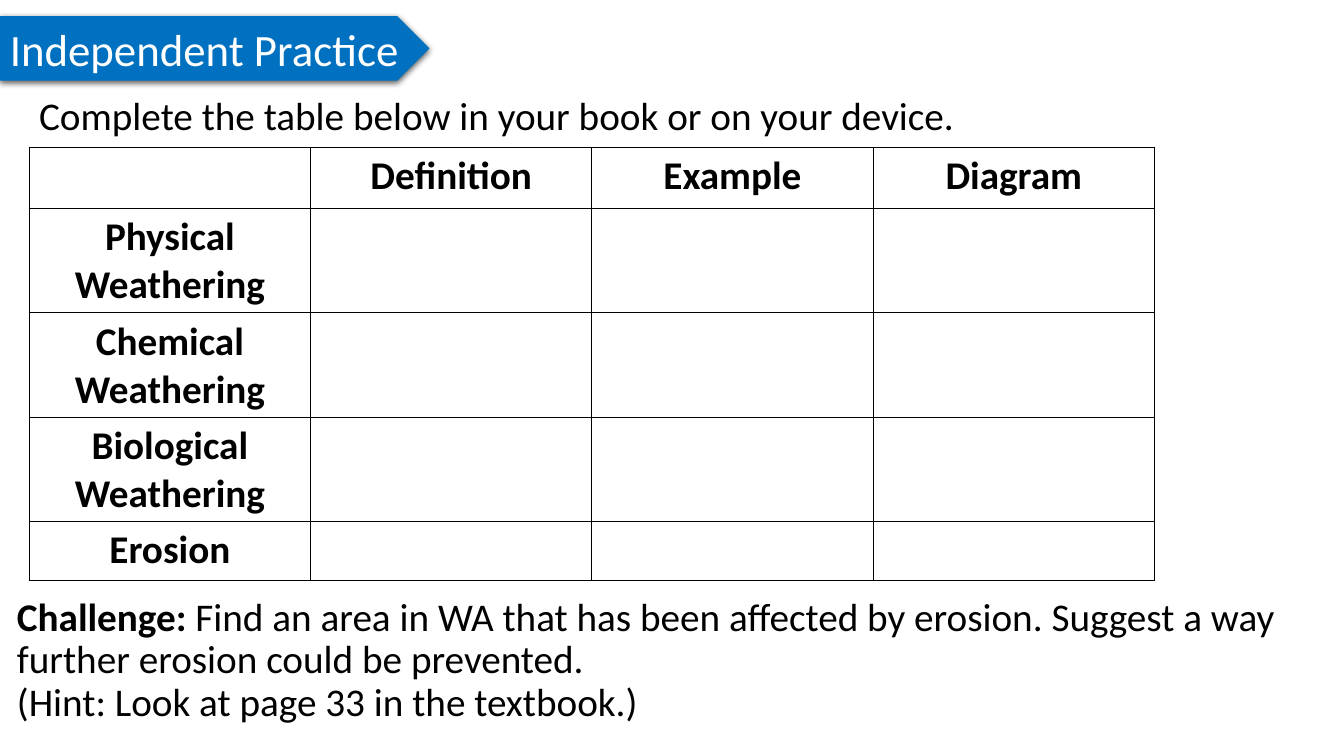
from lxml import etree
from pptx import Presentation
from pptx.dml.color import RGBColor as RGB
from pptx.enum.shapes import MSO_SHAPE as SHAPE
from pptx.enum.text import MSO_ANCHOR as ANCHOR, MSO_AUTO_SIZE as FIT, PP_ALIGN as ALIGN
from pptx.oxml import parse_xml
from pptx.oxml.ns import nsdecls, qn
from pptx.util import Inches as In, Pt

COLORS = {"banner": "0070C0", "banner_text": "FFFFFF", "ink": "000000"}
ROW_HEADS = ["Physical Weathering", "Chemical Weathering", "Biological Weathering", "Erosion"]
COL_HEADS = ["Definition", "Example", "Diagram"]
ROW_HEIGHTS = [0.61, 1.03, 1.03, 1.03, 0.59]
COL_WIDTH = 2.79
MARGIN = 0.29


def style(p, size=28, color="ink", bold=None):
    p.font.name, p.font.size, p.font.bold = "Calibri", Pt(size), bold
    p.font.color.rgb = RGB.from_string(COLORS[color])


def add_text(left, top, width, height, paragraphs):
    """Add a wrapped text box; each paragraph is a list of (text, bold) runs."""
    tf = slide.shapes.add_textbox(In(left), In(top), In(width), In(height)).text_frame
    tf.word_wrap = True
    for i, runs in enumerate(paragraphs):
        p = tf.add_paragraph() if i else tf.paragraphs[0]
        p.line_spacing = 0.9
        style(p)
        for text, bold in runs:
            r = p.add_run()
            r.text = text
            style(r, bold=bold)


prs = Presentation()
prs.slide_width, prs.slide_height = In(13.33), In(7.5)
slide = prs.slides.add_slide(prs.slide_layouts[6])

# Title banner
sp = slide.shapes.add_shape(SHAPE.PENTAGON, 0, In(0.16), In(4.26), In(0.64))
sp.fill.solid()
sp.fill.fore_color.rgb = RGB.from_string(COLORS["banner"])
sp.line.fill.background()
sp._element.spPr.append(parse_xml(
    f'<a:effectLst {nsdecls("a")}><a:outerShdw blurRad="{Pt(4.5)}" dist="{Pt(1.5)}" dir="5400000" '
    f'rotWithShape="0"><a:srgbClr val="{COLORS["ink"]}"><a:alpha val="63000"/></a:srgbClr>'
    '</a:outerShdw></a:effectLst>'))
tf = sp.text_frame
tf.word_wrap = False
tf.auto_size = FIT.SHAPE_TO_FIT_TEXT
tf.vertical_anchor = ANCHOR.MIDDLE
p = tf.paragraphs[0]
p.text = "Independent Practice"
p.alignment = ALIGN.LEFT
style(p, 32, "banner_text")

add_text(MARGIN, 0.91, 13.04, 0.76,
         [[("Complete the table below in your book or on your device.", None)]])

# Weathering table
grid = [["", *COL_HEADS]] + [[head] + [""] * len(COL_HEADS) for head in ROW_HEADS]
table = slide.shapes.add_table(len(grid), len(grid[0]), In(MARGIN), In(1.46),
                               In(COL_WIDTH * len(grid[0])), In(sum(ROW_HEIGHTS))).table
table.first_row = table.horz_banding = False
for col in table.columns:
    col.width = In(COL_WIDTH)
for row, height, texts in zip(table.rows, ROW_HEIGHTS, grid):
    row.height = In(height)
    for cell, text in zip(row.cells, texts):
        tcPr = cell._tc.get_or_add_tcPr()
        for side in ("a:lnL", "a:lnR", "a:lnT", "a:lnB"):
            ln = etree.SubElement(tcPr, qn(side), w=str(Pt(1)))
            solid = etree.SubElement(ln, qn("a:solidFill"))
            etree.SubElement(solid, qn("a:srgbClr"), val=COLORS["ink"])
        cell.fill.background()
        if text:
            p = cell.text_frame.paragraphs[0]
            p.text = text
            p.alignment = ALIGN.CENTER
            style(p, bold=True)

add_text(0.07, 5.88, 13.2, 1.62, [
    [("Challenge: ", True),
     ("Find an area in WA that has been affected by erosion. "
      "Suggest a way further erosion could be prevented.", False)],
    [("(Hint: Look at page 33 in the textbook.)", False)],
])

prs.save("out.pptx")
